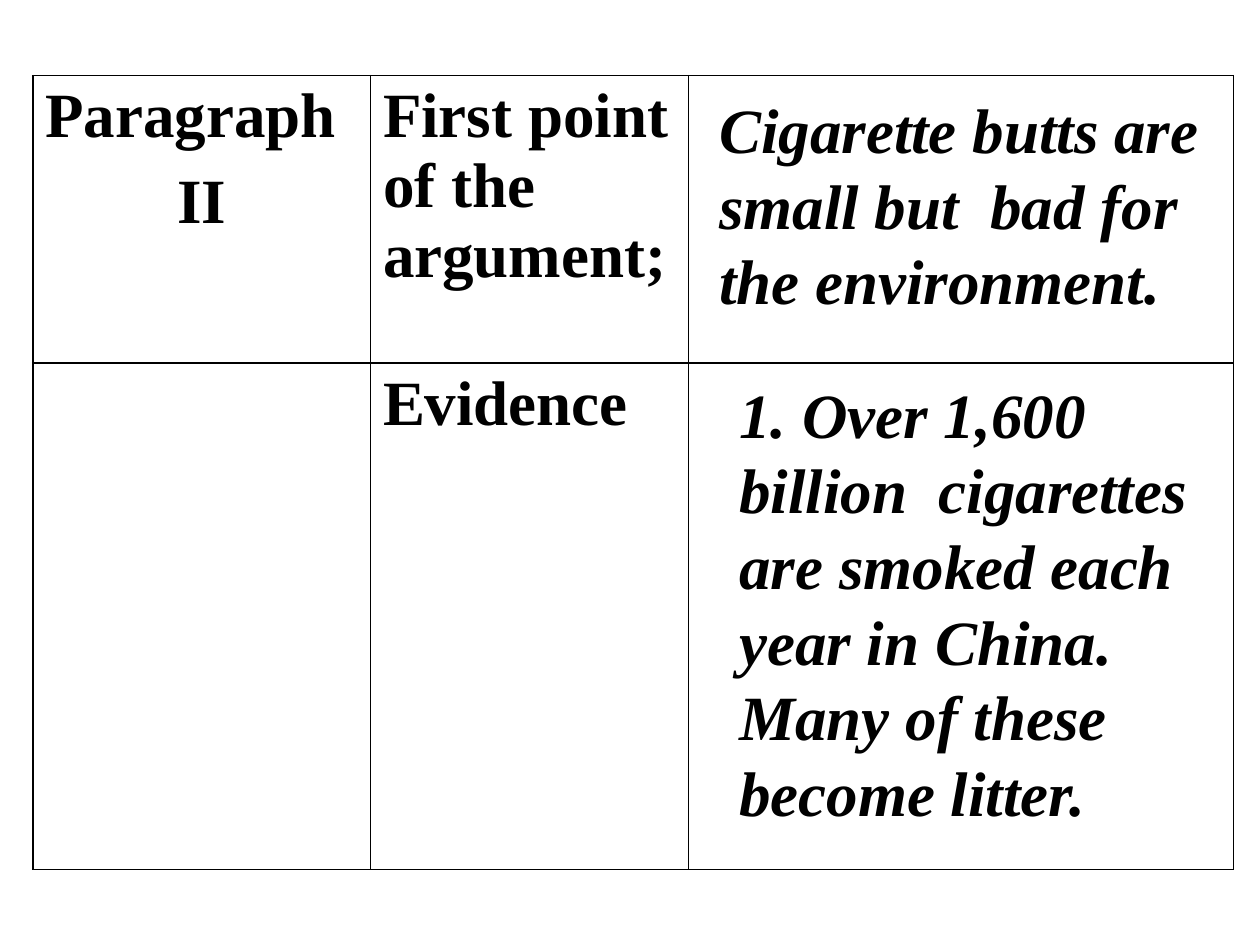
"""Build the essay outline slide with its argument table."""
from lxml.etree import SubElement
from pptx import Presentation
from pptx.dml.color import RGBColor
from pptx.enum.text import MSO_ANCHOR, PP_ALIGN
from pptx.oxml.ns import qn
from pptx.util import Inches, Pt

HUES = {"ink": "000000"}
FONT = "Times New Roman"
THICK, THIN = 1.08, 0.45
COLS = [2.68, 2.52, 4.33]
ROWS = [2.28, 4.02]
CELLS = [
    [["Paragraph", "II"], ["First point of the argument;"], []],
    [[], ["Evidence"], []],
]
NOTES = [
    ("Cigarette butts are small but  bad for the environment.",
     (5.61, 0.67, 4.25, 1.9)),
    ("1. Over 1,600 billion  cigarettes are smoked each year in China. "
     "Many of these become litter.",
     (5.77, 2.93, 3.94, 3.7)),
]


def write(para, text, size=36, italic=False, align=PP_ALIGN.LEFT, before=0, pitch=None):
    para.alignment = align
    para.space_before = Pt(before)
    para.line_spacing = pitch
    run = para.add_run()
    run.text = text
    font = run.font
    font.name, font.size = FONT, Pt(size)
    font.bold, font.italic = True, italic
    font.color.rgb = RGBColor.from_string(HUES["ink"])


def edge(cell, sides):
    props = cell._tc.get_or_add_tcPr()
    for side, width in sides.items():
        line = SubElement(props, qn(f"a:ln{side}"), w=str(Pt(width)))
        fill = SubElement(line, qn("a:solidFill"))
        SubElement(fill, qn("a:srgbClr"), val=HUES["ink"])


def add_grid(slide):
    spot = [Inches(n) for n in (0.26, 0.6, sum(COLS), sum(ROWS))]
    table = slide.shapes.add_table(len(ROWS), len(COLS), *spot).table
    table.first_row = table.horz_banding = False
    for col, width in zip(table.columns, COLS):
        col.width = Inches(width)
    for row, height in zip(table.rows, ROWS):
        row.height = Inches(height)
    last = len(COLS) - 1
    for r, line in enumerate(CELLS):
        for c, texts in enumerate(line):
            cell = table.cell(r, c)
            edge(cell, {"L": THIN if c else THICK, "R": THIN if c < last else THICK,
                        "T": THICK, "B": THICK})
            cell.fill.background()
            frame = cell.text_frame
            for i, text in enumerate(texts):
                para = frame.add_paragraph() if i else frame.paragraphs[0]
                write(para, text, before=9 if i else 0, pitch=1.0,
                      align=PP_ALIGN.CENTER if i else PP_ALIGN.LEFT)


def add_note(slide, text, spot):
    frame = slide.shapes.add_textbox(*[Inches(n) for n in spot]).text_frame
    frame.word_wrap = True
    frame.vertical_anchor = MSO_ANCHOR.TOP
    write(frame.paragraphs[0], text, italic=True)


def main():
    deck = Presentation()
    deck.slide_width, deck.slide_height = Inches(10), Inches(7.5)
    slide = deck.slides.add_slide(deck.slide_layouts[6])
    add_grid(slide)
    for text, spot in NOTES:
        add_note(slide, text, spot)
    deck.save("out.pptx")


if __name__ == "__main__":
    main()
